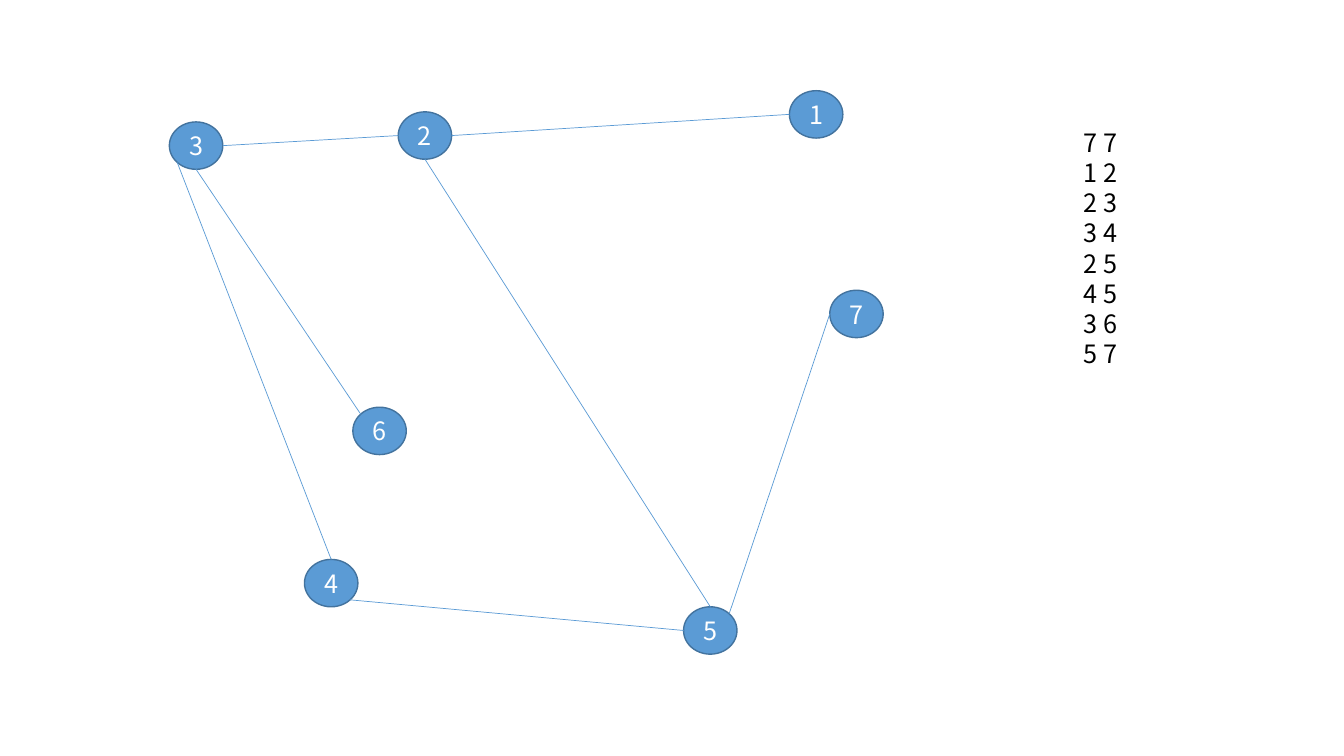
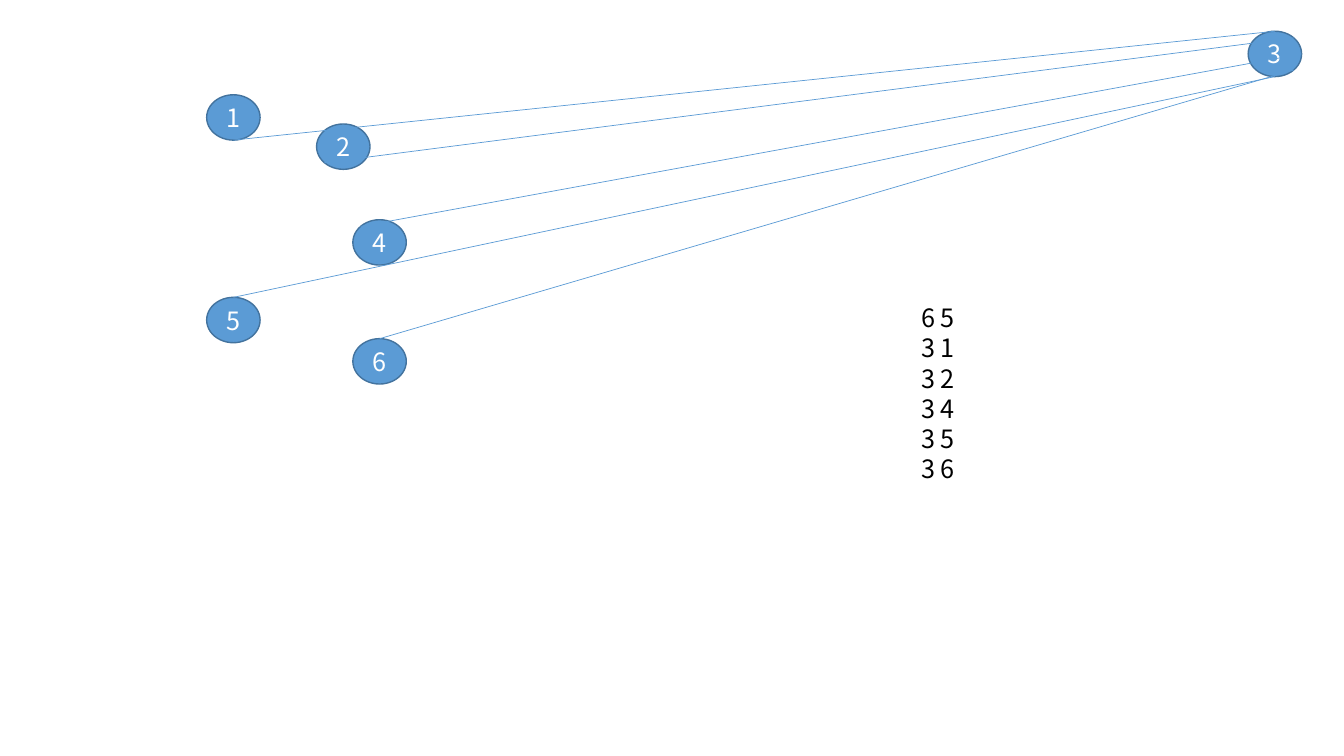
import dataclasses

import lxml.etree
import pptx
import pptx.dml.color
import pptx.enum.shapes
import pptx.enum.text
import pptx.oxml.ns
import pptx.util

Inches = pptx.util.Inches
Pt = pptx.util.Pt
RGB = pptx.dml.color.RGBColor
qn = pptx.oxml.ns.qn


@dataclasses.dataclass(frozen=True)
class Theme:
    font: str = "Noto Sans CJK SC"
    text_size: float = 18
    line_pitch: float = 21.6
    node_fill: RGB = RGB(0x5B, 0x9B, 0xD5)
    node_outline: RGB = RGB(0x43, 0x73, 0x9E)
    node_text: RGB = RGB(0xFF, 0xFF, 0xFF)
    list_text: RGB = RGB(0, 0, 0)
    outline_width: float = 1
    edge_width: float = 0.5
    node_width: float = 0.53


THEME = Theme()
DIAGONAL = 0.5 ** 0.5

# Connection sites of an ellipse: index, then offset from its centre in radii.
SITES = {
    "top": (0, 0, -1),
    "top left": (1, -DIAGONAL, -DIAGONAL),
    "left": (2, -1, 0),
    "bottom left": (3, -DIAGONAL, DIAGONAL),
    "bottom": (4, 0, 1),
    "bottom right": (5, DIAGONAL, DIAGONAL),
    "right": (6, 1, 0),
    "top right": (7, DIAGONAL, -DIAGONAL),
}

# Nodes map a label to its left and top; edges join a site of one node to another's.
GRAPHS = [
    {
        "node_height": 0.47,
        "nodes": {
            "1": (7.83, 0.9), "2": (3.95, 1.11), "3": (1.68, 1.21),
            "4": (3.02, 5.55), "5": (6.78, 6.02), "6": (3.5, 4.04),
            "7": (8.23, 2.88),
        },
        "edges": [
            ("2", "right", "1", "left"),
            ("2", "left", "3", "right"),
            ("2", "bottom", "5", "top"),
            ("4", "bottom right", "5", "left"),
            ("3", "bottom", "6", "top left"),
            ("3", "bottom left", "4", "top"),
            ("5", "top right", "7", "left"),
        ],
        "input_box": (10.65, 1.21, 0.54, 2.52),
        "input_lines": ["7 7", "1 2", "2 3", "3 4", "2 5", "4 5", "3 6", "5 7"],
    },
    {
        "node_height": 0.45,
        "nodes": {
            "1": (2.05, 0.94), "2": (3.14, 1.23), "3": (12.38, 0.31),
            "4": (3.5, 2.18), "5": (2.05, 2.95), "6": (3.5, 3.36),
        },
        "edges": [
            ("3", "top", "1", "bottom"),
            ("3", "top right", "2", "bottom left"),
            ("3", "right", "4", "top left"),
            ("3", "bottom right", "6", "top"),
            ("3", "bottom", "5", "top"),
        ],
        "input_box": (9.04, 2.95, 0.54, 1.92),
        "input_lines": ["6 5", "3 1", "3 2", "3 4", "3 5", "3 6"],
    },
]


def write_lines(frame, lines, color, frame_format, align):
    for name, value in frame_format.items():
        setattr(frame, name, value)
    frame.text = "\n".join(lines)
    font_format = {"name": THEME.font, "size": Pt(THEME.text_size)}
    for paragraph in frame.paragraphs:
        paragraph.alignment = align
        paragraph.line_spacing = Pt(THEME.line_pitch)
        for name, value in font_format.items():
            setattr(paragraph.font, name, value)
        paragraph.font.color.rgb = color


def set_line(line, color, width):
    line.color.rgb = color
    line.width = Pt(width)


def add_node(slide, label, left, top, height):
    node = slide.shapes.add_shape(
        pptx.enum.shapes.MSO_SHAPE.OVAL,
        Inches(left), Inches(top), Inches(THEME.node_width), Inches(height))
    node.shadow.inherit = False
    node.fill.solid()
    node.fill.fore_color.rgb = THEME.node_fill
    set_line(node.line, THEME.node_outline, THEME.outline_width)
    write_lines(
        node.text_frame, [label], THEME.node_text,
        {"vertical_anchor": pptx.enum.text.MSO_ANCHOR.MIDDLE, "word_wrap": True},
        pptx.enum.text.PP_ALIGN.CENTER)
    return node


def site_point(node, site):
    _, across, down = SITES[site]
    return (int(node.left + node.width * (1 + across) / 2),
            int(node.top + node.height * (1 + down) / 2))


def add_edge(slide, start, start_site, end, end_site):
    """Draw a line between two nodes and attach it to both."""
    edge = slide.shapes.add_connector(
        pptx.enum.shapes.MSO_CONNECTOR.STRAIGHT,
        *site_point(start, start_site), *site_point(end, end_site))
    set_line(edge.line, THEME.node_fill, THEME.edge_width)
    lxml.etree.SubElement(edge.element.spPr, qn("a:effectLst"))
    joints = edge.element.find(".//" + qn("p:cNvCxnSpPr"))
    for tag, node, site in (("a:stCxn", start, start_site),
                            ("a:endCxn", end, end_site)):
        lxml.etree.SubElement(joints, qn(tag), id=str(node.shape_id),
                              idx=str(SITES[site][0]))


def add_input_list(slide, box, lines):
    input_list = slide.shapes.add_textbox(*map(Inches, box))
    write_lines(
        input_list.text_frame, lines, THEME.list_text,
        {"word_wrap": False,
         "auto_size": pptx.enum.text.MSO_AUTO_SIZE.SHAPE_TO_FIT_TEXT},
        pptx.enum.text.PP_ALIGN.LEFT)


def add_graph_slide(deck, graph):
    slide = deck.slides.add_slide(deck.slide_layouts.get_by_name("Blank"))
    nodes = {label: add_node(slide, label, *corner, graph["node_height"])
             for label, corner in graph["nodes"].items()}
    for start, start_site, end, end_site in graph["edges"]:
        add_edge(slide, nodes[start], start_site, nodes[end], end_site)
    add_input_list(slide, graph["input_box"], graph["input_lines"])


def main():
    deck = pptx.Presentation()
    deck.slide_width = Inches(13.33)
    deck.slide_height = Inches(7.5)
    for graph in GRAPHS:
        add_graph_slide(deck, graph)
    deck.save("out.pptx")


if __name__ == "__main__":
    main()
